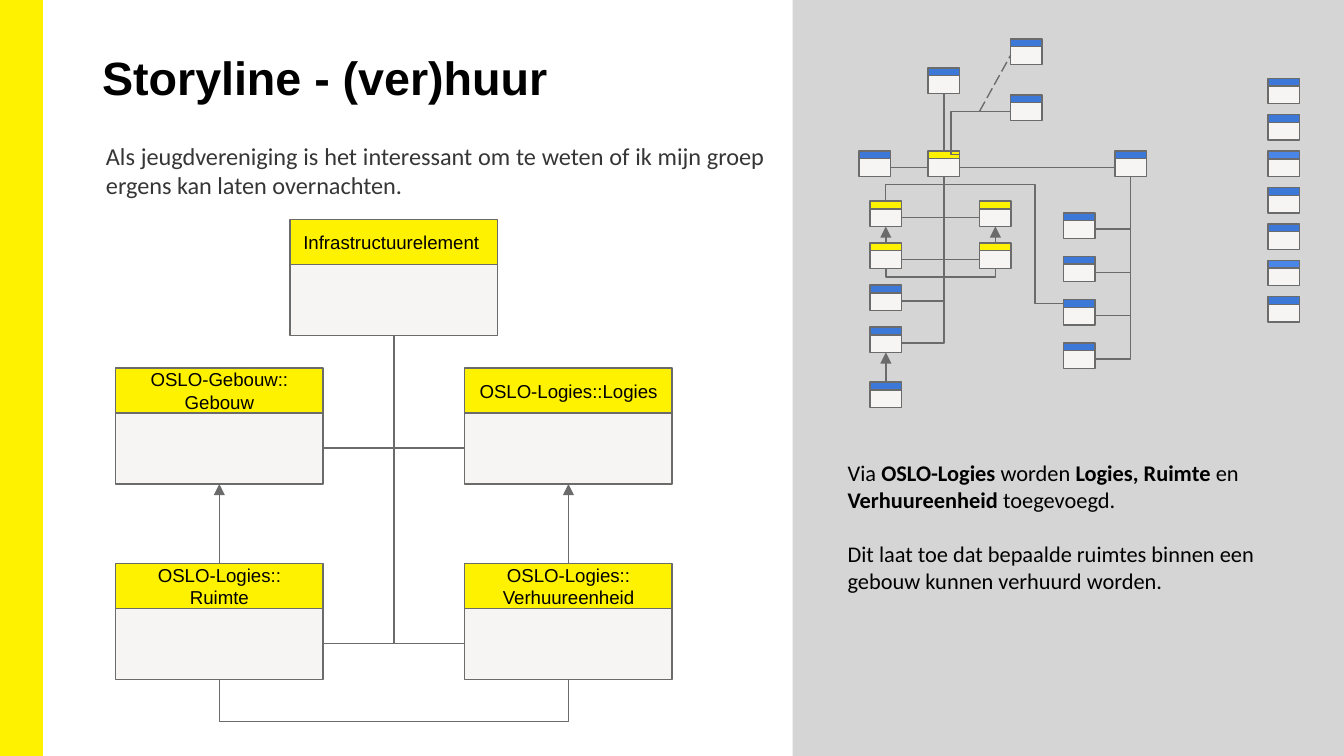
from pptx import Presentation
from pptx import util as u
from pptx.dml.color import RGBColor
from pptx.enum import dml, shapes, text
from pptx.oxml.ns import qn
from pptx.oxml.xmlchemy import OxmlElement

Pt = u.Pt
COLORS = {"yellow": "FFF200", "panel": "D5D5D5", "body": "F6F5F3", "line": "6B6B6B",
          "blue": "3C78D8", "light": "4A86E8", "black": "000000", "intro": "373636"}
LINE_WIDTH = 0.75


def rgb(name):
    """Return the named colour."""
    return RGBColor.from_string(COLORS[name])


def set_all(obj, values):
    """Set every attribute in the dict on the object."""
    for name, value in values.items():
        setattr(obj, name, value)


def style_line(line, color="line", width=LINE_WIDTH):
    """Give a line its colour and width."""
    line.color.rgb = rgb(color)
    line.width = Pt(width)


def rect(s, x, y, w, h, fill, line=None):
    """Add a flat rectangle."""
    sp = s.shapes.add_shape(shapes.MSO_SHAPE.RECTANGLE, Pt(x), Pt(y), Pt(w), Pt(h))
    sp.shadow.inherit = False
    sp.fill.solid()
    sp.fill.fore_color.rgb = rgb(fill)
    if line:
        style_line(sp.line, line)
    else:
        sp.line.fill.background()
    return sp


def fill_text(sp, paragraphs, font, color, align, frame, gap=0):
    """Write paragraphs of (words, bold) runs into a shape."""
    tf = sp.text_frame
    set_all(tf, {"word_wrap": True, "auto_size": text.MSO_AUTO_SIZE.NONE, **frame})
    for i, runs in enumerate(paragraphs):
        p = tf.paragraphs[0] if i == 0 else tf.add_paragraph()
        set_all(p, {"alignment": align, "space_before": Pt(gap if i else 0)})
        for words, bold in runs:
            r = p.add_run()
            r.text = words
            set_all(r.font, {**font, "bold": bold})
            r.font.color.rgb = rgb(color)


def margins(side, top):
    """Return the margin values of a text frame."""
    return {"margin_left": Pt(side), "margin_right": Pt(side),
            "margin_top": Pt(top), "margin_bottom": Pt(top)}


def connect(s, start, end, prst="line", adj=(), arrow=False, dash=None):
    """Add a straight or bent connector; bent ones leave horizontally."""
    c = s.shapes.add_connector(shapes.MSO_CONNECTOR.STRAIGHT, *map(Pt, start + end))
    style_line(c.line)
    if dash:
        c.line.dash_style = dash
    if arrow:
        tail = OxmlElement("a:tailEnd")
        tail.set("type", "triangle")
        c.line._get_or_add_ln().append(tail)
    geom = c._element.spPr.find(qn("a:prstGeom"))
    geom.set("prst", prst)
    for i, value in enumerate(adj, 1):
        gd = OxmlElement("a:gd")
        gd.set("name", f"adj{i}")
        gd.set("fmla", f"val {round(value * 100000)}")
        geom.find(qn("a:avLst")).append(gd)
    c._element.spPr.append(OxmlElement("a:effectLst"))


def polyline(s, points):
    """Add an open outline through the points."""
    fb = s.shapes.build_freeform(Pt(points[0][0]), Pt(points[0][1]))
    fb.add_line_segments([(Pt(x), Pt(y)) for x, y in points[1:]], close=False)
    sp = fb.convert_to_shape()
    sp.shadow.inherit = False
    sp.fill.background()
    style_line(sp.line)


def uml_class(s, x, y, w, h, head, color, lines=(), align=text.PP_ALIGN.CENTER):
    """Draw a class box with a coloured header."""
    rect(s, x, y + head, w, h - head, "body", "line")
    sp = rect(s, x, y, w, head, color, "line")
    if lines:
        fill_text(sp, [[(words, False)] for words in lines], {"name": "Arial", "size": Pt(10)},
                  "black", align, {"vertical_anchor": text.MSO_ANCHOR.MIDDLE, **margins(7.2, 7.2)})


def story_diagram(s, x, y):
    """Draw the five named classes and their relations."""
    w, h, head, mid = 111.2, 62.1, 24, 42.8
    left, right, root = x, x + 187, x + 93.5
    rows = [y + 79.6, y + 184.3]
    names = [[("OSLO-Gebouw::", "Gebouw"), ("OSLO-Logies::Logies",)],
             [("OSLO-Logies::", "Ruimte"), ("OSLO-Logies::", "Verhuureenheid")]]
    uml_class(s, root, y, w, h, head, "yellow", ("Infrastructuurelement",), text.PP_ALIGN.LEFT)
    for top, labels in zip(rows, names):
        for col, lines in zip((left, right), labels):
            uml_class(s, col, top, w, h, head, "yellow", lines)
        for edge in (left + w, right):
            connect(s, (edge, top + mid), (root + w / 2, y + h), "bentConnector2")
    centres = [left + w / 2, right + w / 2]
    for cx in centres:
        connect(s, (cx, rows[1]), (cx, rows[0] + h), arrow=True)
    a, b = centres
    end, low = rows[1] + h, y + 268.9
    polyline(s, [(a, end), (a, low), (b, low), (b, end)])


def overview_diagram(s, x, y):
    """Draw the small map of the whole model."""
    w, h, head, mid = 16.9, 13.6, 4.2, 8.7
    west, left, hub, inner, top, right, east, legend = (
        x + d for d in (0, 5.9, 37, 64.6, 81.2, 109.6, 137.1, 219.1))
    main = y + 60
    left_rows = [y + 86.8 + 22.5 * i for i in range(4)]
    right_rows = [y + 93.2 + 23.2 * i for i in range(4)]
    last = y + 183.8
    nodes = [(hub, y + 15.5, "blue"), (west, main, "blue"), (hub, main, "yellow"),
             (top, y, "blue"), (top, y + 30, "blue"), (east, main, "blue"), (left, last, "blue")]
    nodes += [(legend, y + 21.1 + 19.5 * i, "light" if i in (2, 5) else "blue") for i in range(7)]
    nodes += [(right, row, "blue") for row in right_rows]
    nodes += [(left, row, "blue") for row in left_rows[2:]]
    nodes += [(col, row, "yellow") for col in (left, inner) for row in left_rows[:2]]
    for col, row, color in nodes:
        uml_class(s, col, row, w, h, head, color)

    hub_x, east_x, left_x, inner_x = (col + w / 2 for col in (hub, east, left, inner))
    connect(s, (hub_x, main), (hub_x, y + 15.5 + h))
    connect(s, (hub, main + mid), (west + w, main + mid))
    connect(s, (hub + w, main + mid), (east, main + mid))
    connect(s, (top, y + 38.7), (hub + w, main + 1.9), "bentConnector3", [1.17])
    connect(s, (inner, y + 38.7), (top, y + mid), dash=dml.MSO_LINE.LONG_DASH)
    for row in right_rows:
        connect(s, (right + w, row + mid), (east_x, main + h), "bentConnector2")
    for row in left_rows[2:]:
        connect(s, (left + w, row + mid), (hub_x, main + h), "bentConnector2")
    for row in left_rows[:2]:
        connect(s, (left + w, row + mid), (inner, row + mid))
    for cx, start, end in ((left_x, last, left_rows[3]), (left_x, left_rows[1], left_rows[0]),
                           (inner_x, left_rows[1], left_rows[0])):
        connect(s, (cx, start), (cx, end + h), arrow=True)
    end, low = left_rows[1] + h, y + 127.4
    polyline(s, [(left_x, end), (left_x, low), (inner_x, low), (inner_x, end)])
    connect(s, (right, y + 141.8), (left_x, left_rows[0]), "bentConnector4", [0.16, 1.16])


def title(s, x, y, w, h):
    """Place and format the slide title."""
    sp = s.shapes.title
    set_all(sp, {"left": Pt(x), "top": Pt(y), "width": Pt(w), "height": Pt(h)})
    fill_text(sp, [[("Storyline - (ver)huur", True)]], {"name": "Arial", "size": Pt(25)}, "black",
              text.PP_ALIGN.LEFT, {"vertical_anchor": text.MSO_ANCHOR.MIDDLE, **margins(5, 2.9)})
    sp.text_frame.paragraphs[0].line_spacing = 0.9


def text_block(s, x, y, w, h, paragraphs, size, color, align, gap=0):
    """Add a block of running text."""
    sp = s.shapes.add_textbox(Pt(x), Pt(y), Pt(w), Pt(h))
    fill_text(sp, paragraphs, {"name": "Calibri", "size": Pt(size)}, color, align,
              margins(7.2, 7.2), gap)


def main():
    """Build the slide and save it."""
    prs = Presentation()
    set_all(prs, {"slide_width": Pt(720), "slide_height": Pt(405)})
    s = prs.slides.add_slide(prs.slide_layouts[5])
    rect(s, 0, 0, 22.5, 405, "yellow", "yellow")
    rect(s, 424.6, 0, 295.4, 405, "panel")
    title(s, 49.7, 21.6, 399.6, 43.2)
    text_block(s, 49.7, 68.4, 366.5, 46, [[(
        "Als jeugdvereniging is het interessant om te weten of ik mijn groep "
        "ergens kan laten overnachten.", False)]], 13, "intro", text.PP_ALIGN.JUSTIFY)
    text_block(s, 447, 239, 250.6, 87, [
        [("Via ", False), ("OSLO-Logies", True), (" worden ", False), ("Logies, Ruimte", True),
         (" en ", False), ("Verhuureenheid ", True), ("toegevoegd.", False)],
        [("Dit laat toe dat bepaalde ruimtes binnen een gebouw kunnen verhuurd worden.", False)],
    ], 12, "black", text.PP_ALIGN.LEFT, gap=14.6)
    overview_diagram(s, 460.2, 20.9)
    story_diagram(s, 61.9, 117.6)
    prs.save("out.pptx")


if __name__ == "__main__":
    main()
